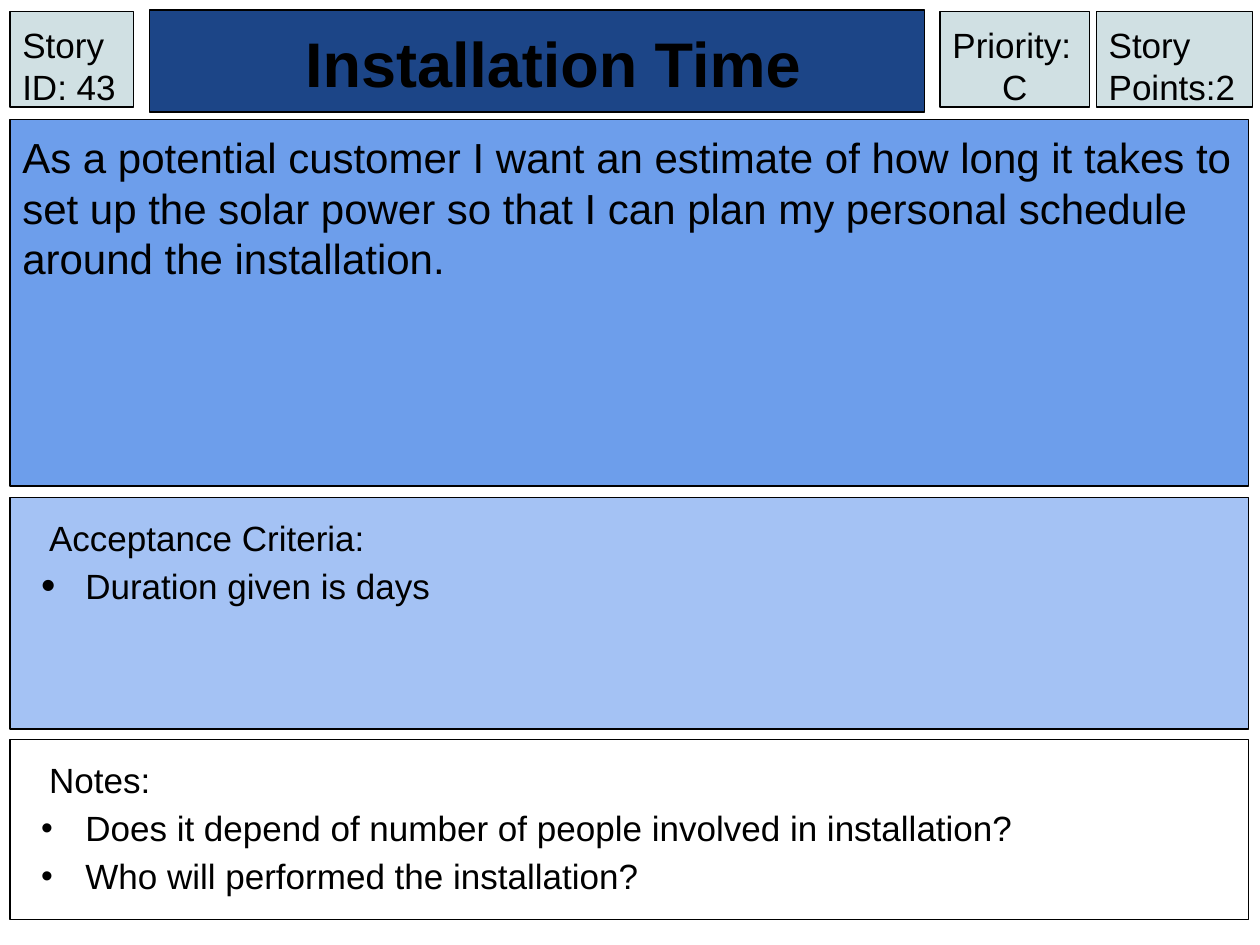
from dataclasses import dataclass

import pptx
import pptx.dml.color
import pptx.enum.text
import pptx.oxml
import pptx.oxml.ns
import pptx.util
from pptx.util import Cm

ALIGN = pptx.enum.text.PP_ALIGN
ANCHOR = pptx.enum.text.MSO_ANCHOR
COLORS = {
    "ink": "000000",
    "title": "1C4587",
    "story": "6D9EEB",
    "criteria": "A4C2F4",
    "tag": "D0E0E3",
}


@dataclass
class Line:
    text: str
    size: int = 20
    align: ALIGN = ALIGN.LEFT
    bold: bool = False
    margin: float = 0
    indent: float = 0
    spacing: float = 1.0
    before: int = 0
    bullet: int = 0  # bullet size in percent, 0 for none


@dataclass
class Box:
    left: float
    top: float
    width: float
    height: float
    fill: str | None
    lines: list[Line]


def heading(text: str) -> Line:
    return Line(text, margin=0.97, indent=-0.43, spacing=1.15)


def bullet(text: str, percent: int) -> Line:
    return Line(text, margin=1.27, indent=-0.89, spacing=1.15, bullet=percent)


def rgb(name: str) -> pptx.dml.color.RGBColor:
    return pptx.dml.color.RGBColor.from_string(COLORS[name])


def add_bullet(p, percent: int) -> None:
    ns = pptx.oxml.ns.nsdecls("a")
    for xml in (
        f'<a:buClr {ns}><a:srgbClr val="{COLORS["ink"]}"/></a:buClr>',
        f'<a:buSzPct {ns} val="{percent * 1000}"/>',
        f'<a:buFont {ns} typeface="Arial"/>',
        f'<a:buChar {ns} char="•"/>',
    ):
        p._p.get_or_add_pPr().append(pptx.oxml.parse_xml(xml))


def write_line(p, line: Line) -> None:
    p.text = line.text
    p.alignment = line.align
    p.line_spacing = line.spacing
    p.space_before = pptx.util.Pt(line.before)
    pPr = p._p.get_or_add_pPr()
    pPr.set("marL", str(Cm(line.margin)))
    pPr.set("indent", str(Cm(line.indent)))
    if line.bullet:
        add_bullet(p, line.bullet)
    p.font.name = "Arial"
    p.font.size = pptx.util.Pt(line.size)
    p.font.bold = line.bold
    p.font.color.rgb = rgb("ink")


def format_box(sp, box: Box, anchor: ANCHOR = ANCHOR.TOP) -> None:
    sp.left, sp.top = Cm(box.left), Cm(box.top)
    sp.width, sp.height = Cm(box.width), Cm(box.height)
    if box.fill:
        sp.fill.solid()
        sp.fill.fore_color.rgb = rgb(box.fill)
    sp.line.color.rgb = rgb("ink")
    sp.line.width = pptx.util.Pt(0.75)
    tf = sp.text_frame
    tf.word_wrap = True
    tf.auto_size = pptx.enum.text.MSO_AUTO_SIZE.NONE
    tf.vertical_anchor = anchor
    tf.margin_left = tf.margin_right = Cm(0.25)
    tf.margin_top = tf.margin_bottom = Cm(0.25)
    for i, line in enumerate(box.lines):
        write_line(tf.add_paragraph() if i else tf.paragraphs[0], line)


def panel(top: float, height: float, fill: str | None, lines: list[Line]) -> Box:
    return Box(0.2, top, 24.97, height, fill, lines)


def tag(left: float, width: float, lines: list[Line]) -> Box:
    return Box(left, 0.23, width, 1.93, "tag", lines)


TITLE = Box(3.02, 0.2, 15.62, 2.06, "title", [
    Line("Installation Time", 36, ALIGN.CENTER, bold=True, indent=0.64),
])
BOXES = [
    # Full-width panels
    panel(2.41, 7.39, "story", [
        Line("As a potential customer I want an estimate of how long it takes to "
             "set up the solar power so that I can plan my personal schedule "
             "around the installation.", 24, before=6),
    ]),
    panel(10.03, 4.67, "criteria", [
        heading("Acceptance Criteria:"),
        bullet("Duration given is days", 117),
    ]),
    panel(14.91, 3.63, None, [
        heading("Notes:"),
        bullet("Does it depend of number of people involved in installation?", 96),
        bullet("Who will performed the installation?", 96),
    ]),
    # Tags beside the title
    tag(22.1, 3.15, [Line("Story Points:2")]),
    tag(18.95, 3.02, [Line("Priority:"), Line("C", align=ALIGN.CENTER)]),
    tag(0.2, 2.49, [Line("Story ID: 43")]),
]


def main() -> None:
    prs = pptx.Presentation()
    prs.slide_width, prs.slide_height = Cm(25.4), Cm(19.05)
    s = prs.slides.add_slide(prs.slide_layouts.get_by_name("Title Only"))
    format_box(s.shapes.title, TITLE, ANCHOR.BOTTOM)
    for box in BOXES:
        format_box(s.shapes.add_textbox(0, 0, 0, 0), box)
    prs.save("out.pptx")


if __name__ == "__main__":
    main()
